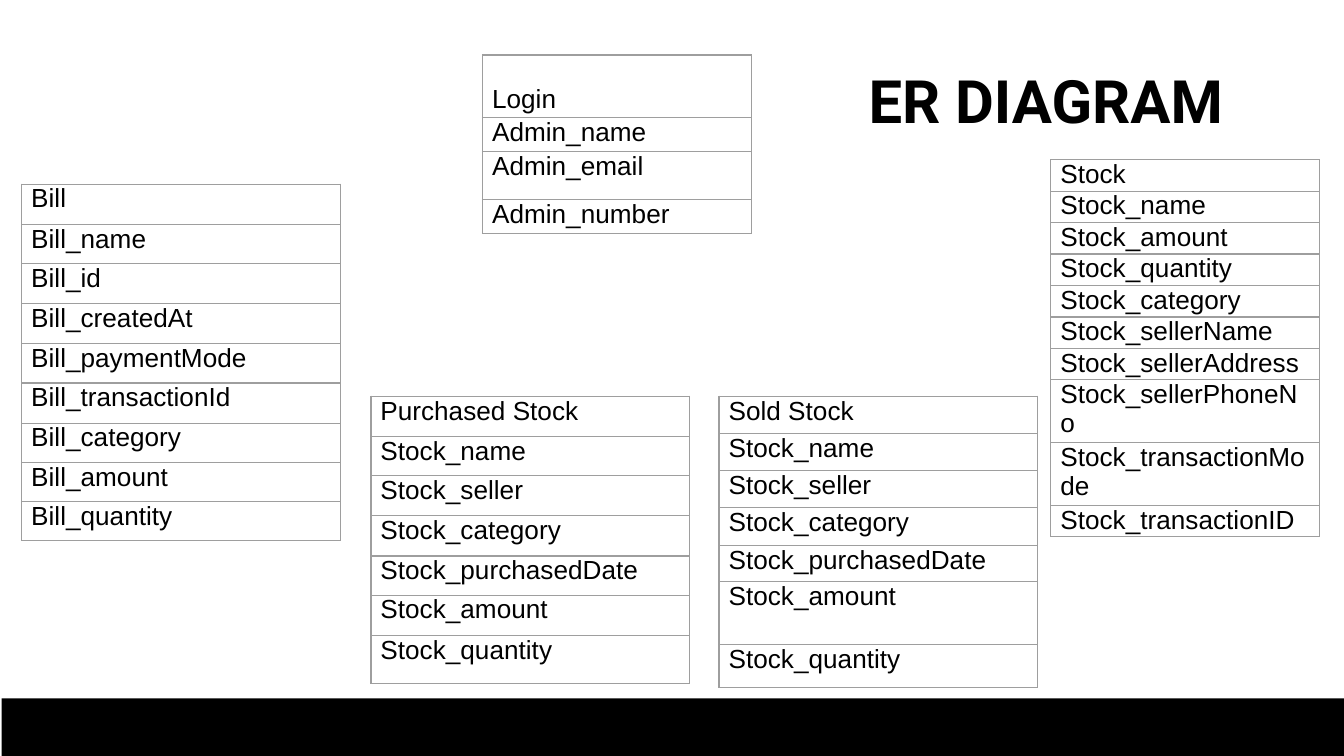
from lxml.etree import SubElement
from pptx import Presentation
from pptx.dml.color import RGBColor
from pptx.enum.shapes import MSO_SHAPE as Preset
from pptx.enum.text import PP_ALIGN as Align
from pptx.oxml.ns import qn
from pptx.util import Cm, Pt


def color(code):
    return RGBColor.from_string(code)


def write(frame, text, font="Arial", size=14, bold=False, align=Align.LEFT, spacing=1.0):
    frame.word_wrap = True
    paragraph = frame.paragraphs[0]
    paragraph.alignment = align
    paragraph.line_spacing = spacing
    run = paragraph.add_run()
    run.text = text
    run.font.name = font
    run.font.size = Pt(size)
    run.font.bold = bold
    run.font.color.rgb = color("000000")


deck = Presentation()
deck.slide_width, deck.slide_height = Cm(25.4), Cm(14.29)
slide = deck.slides.add_slide(deck.slide_layouts[6])

footer = slide.shapes.add_shape(Preset.RECTANGLE, Cm(0.03), Cm(13.2), Cm(25.37), Cm(1.09))
footer.shadow.inherit = False
footer.fill.solid()
footer.fill.fore_color.rgb = color("000000")
footer.line.fill.background()

title = slide.shapes.add_textbox(Cm(2), Cm(1.22), Cm(21.37), Cm(1.6)).text_frame
title.margin_left = title.margin_right = title.margin_top = title.margin_bottom = Cm(0.25)
write(title, "ER DIAGRAM", font="Roboto", size=32, bold=True, align=Align.RIGHT, spacing=0.8)

entities = [
    (7.01, 7.49, 6.02, [
        ("Purchased Stock", 0.76), ("Stock_name", 0.74), ("Stock_seller", 0.76),
        ("Stock_category", 0.76), ("Stock_purchasedDate", 0.74),
        ("Stock_amount", 0.76), ("Stock_quantity", 0.91)]),
    (9.12, 1.04, 5.08, [
        ("Login", 0.23), ("Admin_name", 0.64), ("Admin_email", 0.91), ("Admin_number", 0.64)]),
    (13.59, 7.49, 6.02, [
        ("Sold Stock", 0.71), ("Stock_name", 0.69), ("Stock_seller", 0.71),
        ("Stock_category", 0.71), ("Stock_purchasedDate", 0.69),
        ("Stock_amount", 1.19), ("Stock_quantity", 0.81)]),
    (0.41, 3.48, 6.02, [
        ("Bill", 0.76), ("Bill_name", 0.74), ("Bill_id", 0.76), ("Bill_createdAt", 0.76),
        ("Bill_paymentMode", 0.74), ("Bill_transactionId", 0.76), ("Bill_category", 0.74),
        ("Bill_amount", 0.74), ("Bill_quantity", 0.74)]),
    (19.86, 3.02, 5.08, [
        (field, 0.58) for field in (
            "Stock", "Stock_name", "Stock_amount", "Stock_quantity", "Stock_category",
            "Stock_sellerName", "Stock_sellerAddress", "Stock_sellerPhoneNo",
            "Stock_transactionMode", "Stock_transactionID")]),
]

for left, top, width, fields in entities:
    total = sum(height for _, height in fields)
    entity = slide.shapes.add_table(
        len(fields), 1, Cm(left), Cm(top), Cm(width), Cm(total)).table
    entity.first_row = entity.horz_banding = False
    for index, (field, height) in enumerate(fields):
        entity.rows[index].height = Cm(height)
        cell = entity.cell(index, 0)
        cell.margin_left = cell.margin_right = Cm(0.18)
        cell.margin_top = cell.margin_bottom = 0
        write(cell.text_frame, field, spacing=2.0 if field == "Login" else 1.0)
        properties = cell._tc.get_or_add_tcPr()
        for side in ("a:lnL", "a:lnR", "a:lnT", "a:lnB"):
            border = SubElement(properties, qn(side), w=str(Pt(0.75)))
            SubElement(SubElement(border, qn("a:solidFill")), qn("a:srgbClr"), val="9E9E9E")
        cell.fill.background()

deck.save("out.pptx")
